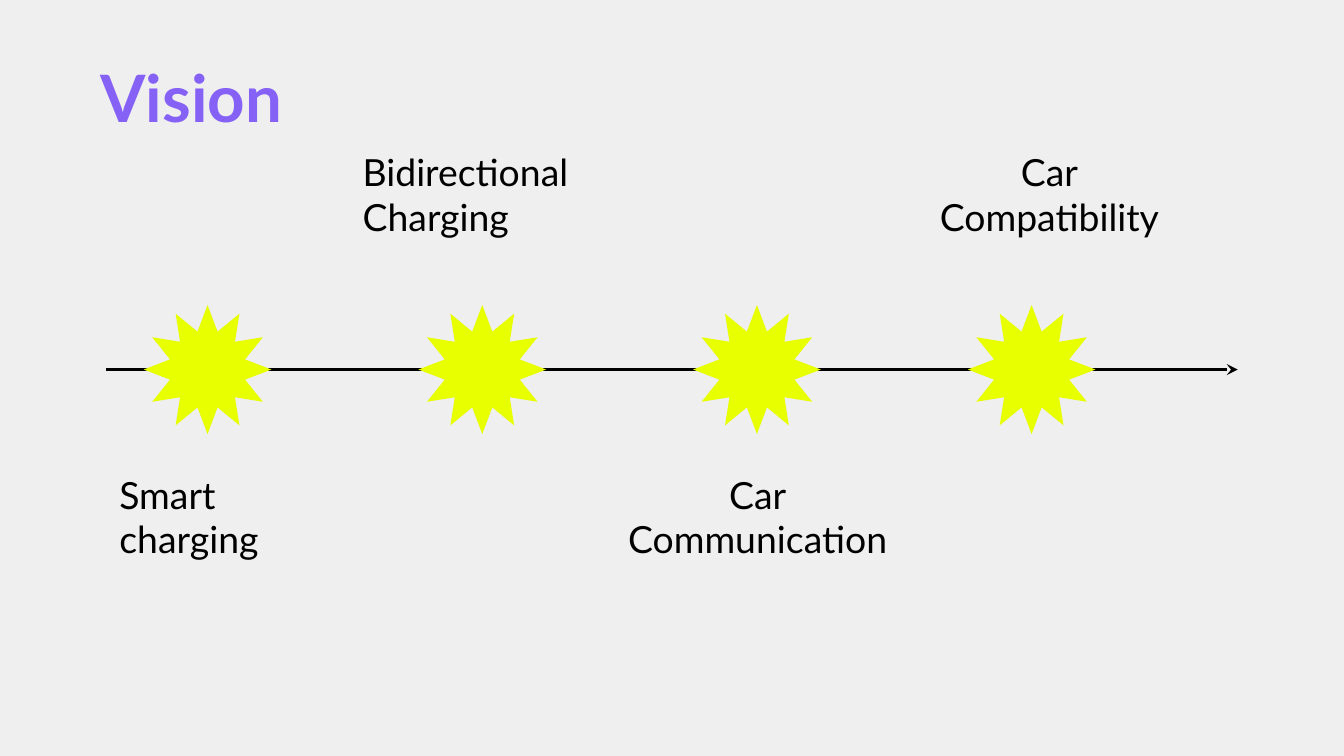
from pptx import Presentation, util as u
from pptx.dml.color import RGBColor
from pptx.enum import shapes, text
from pptx.oxml.ns import qn
from lxml import etree

THEME = dict(font="Lato", back="EFEFEF", title="8661F5", ink="000000",
             star="E8FF00", title_size=35, label_size=20)

TITLE = "Vision"
LEFT, CENTER = text.PP_ALIGN.LEFT, text.PP_ALIGN.CENTER
# label, row, left edge, width, alignment
MILESTONES = [
    ("Smart charging", "below", 56.9, 124.6, LEFT),
    ("Bidirectional Charging", "above", 187.2, 160.6, LEFT),
    ("Car\nCommunication", "below", 313.9, 184, CENTER),
    ("Car\nCompatibility", "above", 470.2, 184, CENTER),
]
ROW_TOP = {"above": 72.7, "below": 245.5}
LABEL_H = 81.4
AXIS_X, AXIS_Y, AXIS_END = 56.9, 198, 663.1
STAR_X, STAR_PITCH, STAR_W, STAR_H = 77, 147.15, 68.4, 69.1


def color(name):
    return RGBColor.from_string(THEME[name])


def add_text(s, content, x, y, w, h, *, size, ink="ink", bold=False,
             align=LEFT, spacing=1.0):
    sp = s.shapes.add_textbox(u.Pt(x), u.Pt(y), u.Pt(w), u.Pt(h))
    tf = sp.text_frame
    tf.word_wrap = True
    tf.margin_left = tf.margin_right = u.Pt(7.2)
    tf.margin_top = tf.margin_bottom = u.Pt(7.2)
    tf.text = content
    for p in tf.paragraphs:
        p.alignment, p.line_spacing = align, spacing
        for r in p.runs:
            r.font.name, r.font.size, r.font.bold = THEME["font"], u.Pt(size), bold
            r.font.color.rgb = color(ink)


def add_axis(s):
    line = s.shapes.add_connector(shapes.MSO_CONNECTOR.STRAIGHT, u.Pt(AXIS_X),
                                  u.Pt(AXIS_Y), u.Pt(AXIS_END), u.Pt(AXIS_Y))
    line.line.color.rgb = color("ink")
    line.line.width = u.Pt(1.5)
    etree.SubElement(line.line._get_or_add_ln(), qn("a:tailEnd"), type="stealth")
    etree.SubElement(line._element.spPr, qn("a:effectLst"))


def add_star(s, x):
    sp = s.shapes.add_shape(shapes.MSO_SHAPE.STAR_12_POINT, u.Pt(x),
                            u.Pt(AXIS_Y - STAR_H / 2), u.Pt(STAR_W), u.Pt(STAR_H))
    sp.adjustments[0] = 0.304
    sp.shadow.inherit = False
    sp.fill.solid()
    sp.fill.fore_color.rgb = color("star")
    sp.line.fill.background()


def main():
    prs = Presentation()
    prs.slide_width, prs.slide_height = u.Pt(720), u.Pt(405)
    s = prs.slides.add_slide(prs.slide_layouts[6])
    s.background.fill.solid()
    s.background.fill.fore_color.rgb = color("back")

    add_text(s, TITLE, 46.8, 28.1, 280, 90, size=THEME["title_size"],
             ink="title", bold=True, spacing=0.9)
    add_axis(s)
    for i, (label, row, x, w, align) in enumerate(MILESTONES):
        add_star(s, STAR_X + i * STAR_PITCH)
        add_text(s, label, x, ROW_TOP[row], w, LABEL_H,
                 size=THEME["label_size"], align=align)
    prs.save("out.pptx")


if __name__ == "__main__":
    main()
